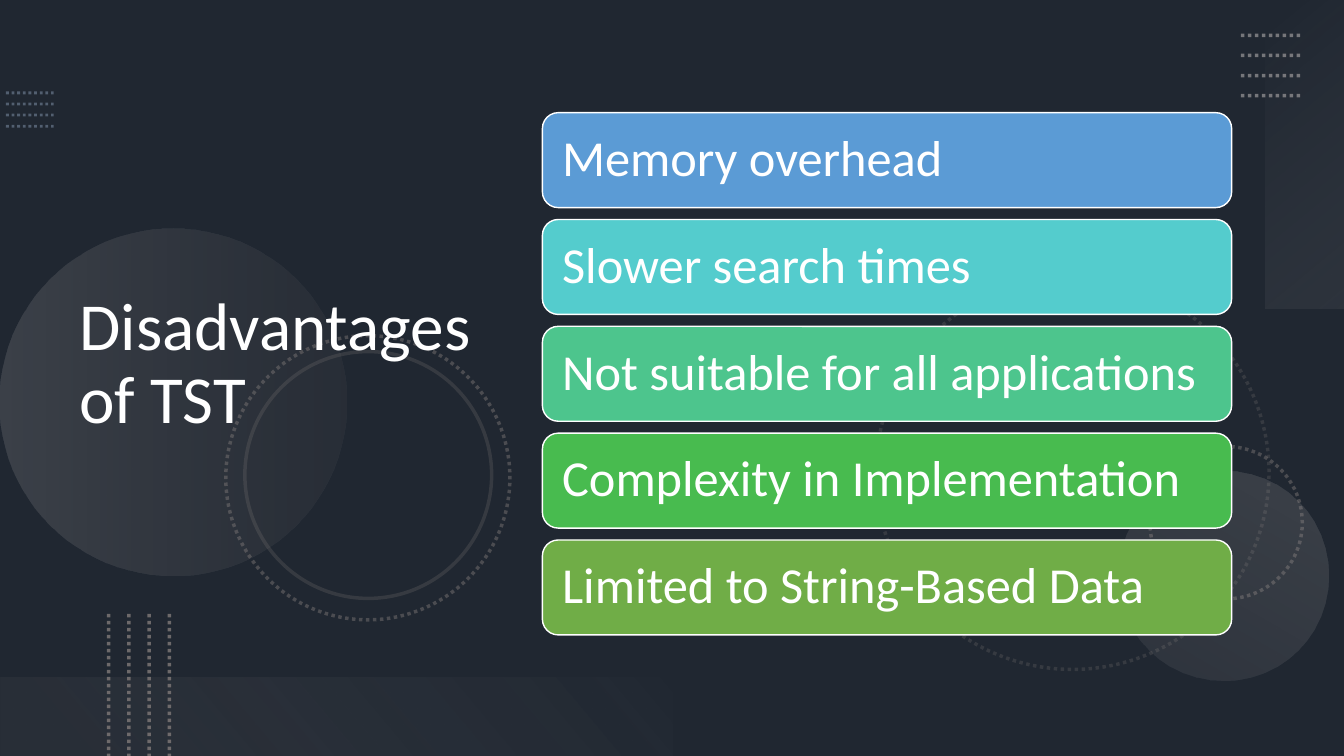
from dataclasses import dataclass

from lxml.etree import SubElement
from pptx import Presentation
from pptx.dml.color import RGBColor
from pptx.enum.dml import MSO_LINE
from pptx.enum.shapes import MSO_CONNECTOR, MSO_SHAPE
from pptx.enum.text import MSO_ANCHOR, MSO_AUTO_SIZE, PP_ALIGN
from pptx.oxml.ns import qn
from pptx.util import Cm, Pt


@dataclass(frozen=True)
class Theme:
    font: str = "Calibri"
    title_size: int = 48
    card_size: int = 36
    background: str = "44546A"
    shade: str = "000000"
    text: str = "FFFFFF"
    slate: str = "8497B0"
    silver: str = "AFABAB"
    gray: str = "767171"
    pale: str = "F5F5F5"
    cards: tuple = ("5B9BD5", "54CCCD", "4DC58D", "48BB4F", "70AD47")


@dataclass(frozen=True)
class Box:
    left: float
    top: float
    width: float
    height: float

    def inner(self, left, top, width, height):
        return Box(self.left + left, self.top + top, width, height)

    def lengths(self):
        return Cm(self.left), Cm(self.top), Cm(self.width), Cm(self.height)


THEME = Theme()
POINTS = (
    "Memory overhead",
    "Slower search times",
    "Not suitable for all applications",
    "Complexity in Implementation",
    "Limited to String-Based Data",
)


def apply_format(target, values):
    for name, value in values.items():
        setattr(target, name, value)


def set_alpha(color, percent):
    SubElement(color, qn("a:alpha"), val=str(percent * 1000))


def style_line(shape, color, width, dotted=False, alpha=100):
    shape.line.color.rgb = RGBColor.from_string(color)
    shape.line.width = Pt(width)
    if dotted:
        shape.line.dash_style = MSO_LINE.ROUND_DOT
    if alpha < 100:
        outline = shape.element.spPr.find(qn("a:ln"))
        set_alpha(next(outline.iter(qn("a:srgbClr"))), alpha)


def add_shape(page, kind, box, rotation=0):
    shape = page.shapes.add_shape(kind, *box.lengths())
    shape.shadow.inherit = False
    shape.rotation = rotation
    shape.fill.background()
    shape.line.fill.background()
    return shape


def fill_gradient(shape, angle, stops):
    properties = shape.element.spPr
    properties.remove(properties.find(qn("a:noFill")))
    gradient = SubElement(properties, qn("a:gradFill"), rotWithShape="1")
    properties.find(qn("a:prstGeom")).addnext(gradient)
    stop_list = SubElement(gradient, qn("a:gsLst"))
    for position, color, alpha in stops:
        stop = SubElement(stop_list, qn("a:gs"), pos=str(position * 1000))
        set_alpha(SubElement(stop, qn("a:srgbClr"), val=color), alpha)
    SubElement(gradient, qn("a:lin"), ang=str(angle * 60000), scaled="0")


def write_text(frame, text, size, margin):
    apply_format(frame, {
        "word_wrap": True,
        "auto_size": MSO_AUTO_SIZE.NONE,
        "vertical_anchor": MSO_ANCHOR.MIDDLE,
        "margin_left": Cm(margin),
        "margin_right": Cm(margin),
    })
    para = frame.paragraphs[0]
    apply_format(para, {"alignment": PP_ALIGN.LEFT, "line_spacing": 0.9})
    span = para.add_run()
    span.text = text
    apply_format(span.font, {"name": THEME.font, "size": Pt(size)})
    span.font.color.rgb = RGBColor.from_string(THEME.text)


def draw_background(page, box):
    fill = page.background.fill
    fill.solid()
    fill.fore_color.rgb = RGBColor.from_string(THEME.background)
    shade = add_shape(page, MSO_SHAPE.RECTANGLE, box)
    shade.fill.solid()
    shade.fill.fore_color.rgb = RGBColor.from_string(THEME.shade)
    set_alpha(next(shade.element.spPr.iter(qn("a:srgbClr"))), 53)


def draw_dotted_lines(page, box, color, width, alpha, vertical=False, count=4):
    for index in range(count):
        share = index / (count - 1)
        if vertical:
            line_box = box.inner(share * box.width, 0, 0, box.height)
        else:
            line_box = box.inner(0, share * box.height, box.width, 0)
        left, top, across, down = line_box.lengths()
        line = page.shapes.add_connector(
            MSO_CONNECTOR.STRAIGHT, left, top, left + across, top + down)
        style_line(line, color, width, True, alpha)
        SubElement(line.element.spPr, qn("a:effectLst"))


def draw_circles(page, box):
    rings = (
        (22.07, 6.96, 9.91, 75, True, 25),
        (28.98, 11.25, 3.84, 270, True, 50),
        (5.69, 8.46, 7.16, 75, True, 50),
        (6.17, 8.86, 6.22, 75, False, 25),
    )
    for left, top, size, rotation, dotted, alpha in rings:
        ring = add_shape(page, MSO_SHAPE.OVAL, box.inner(left, top, size, size), rotation)
        style_line(ring, THEME.gray, 2.5, dotted, alpha)
    discs = (
        (0, 5.77, 8.74, 270, ((0, THEME.silver, 20), (100, THEME.gray, 10))),
        (28.19, 11.86, 5.28, 210, ((0, THEME.silver, 10), (100, THEME.silver, 20))),
    )
    for left, top, size, rotation, stops in discs:
        disc = add_shape(page, MSO_SHAPE.OVAL, box.inner(left, top, size, size), rotation)
        fill_gradient(disc, 90, stops)


def draw_bands(page, box):
    bands = (
        (29.01, 2.9, 7.77, 270, ((0, THEME.pale, 0), (100, THEME.silver, 10))),
        (0, 17.07, 16.94, 180, ((10, THEME.gray, 10), (100, THEME.pale, 0))),
    )
    for left, top, width, rotation, stops in bands:
        band = add_shape(page, MSO_SHAPE.RECTANGLE, box.inner(left, top, width, 1.98), rotation)
        fill_gradient(band, 140, stops)


def place_title(page, box, text):
    title = page.shapes.title
    page.shapes.element.append(title.element)
    left, top, width, height = box.lengths()
    apply_format(title, {"left": left, "top": top, "width": width, "height": height})
    write_text(title.text_frame, text, THEME.title_size, 0.25)


def draw_cards(page, box, points, gap=0.3):
    height = (box.height - gap * (len(points) - 1)) / len(points)
    for index, (point, color) in enumerate(zip(points, THEME.cards)):
        card_box = box.inner(0, index * (height + gap), box.width, height)
        card = add_shape(page, MSO_SHAPE.ROUNDED_RECTANGLE, card_box)
        card.fill.solid()
        card.fill.fore_color.rgb = RGBColor.from_string(color)
        style_line(card, THEME.text, 1)
        write_text(card.text_frame, point, THEME.card_size, 0.38)


def build_slide(deck, box):
    page = deck.slides.add_slide(deck.slide_layouts.get_by_name("Title Only"))
    draw_background(page, box)
    draw_dotted_lines(page, box.inner(0.15, 2.34, 1.2, 0.84), THEME.slate, 2, 50)
    draw_circles(page, box)
    draw_bands(page, box)
    draw_dotted_lines(page, box.inner(31.27, 0.89, 1.52, 1.52), THEME.silver, 2.5, 60)
    draw_dotted_lines(page, box.inner(2.74, 15.47, 1.53, 3.58), THEME.gray, 2.5, 90, vertical=True)
    place_title(page, box.inner(1.75, 1.37, 11.66, 15.67), "Disadvantages of TST")
    draw_cards(page, box.inner(13.67, 2.84, 17.37, 13.16), POINTS)


def main():
    deck = Presentation()
    slide_box = Box(0, 0, 33.87, 19.05)
    apply_format(deck, {
        "slide_width": Cm(slide_box.width),
        "slide_height": Cm(slide_box.height),
    })
    build_slide(deck, slide_box)
    deck.save("out.pptx")


if __name__ == "__main__":
    main()
